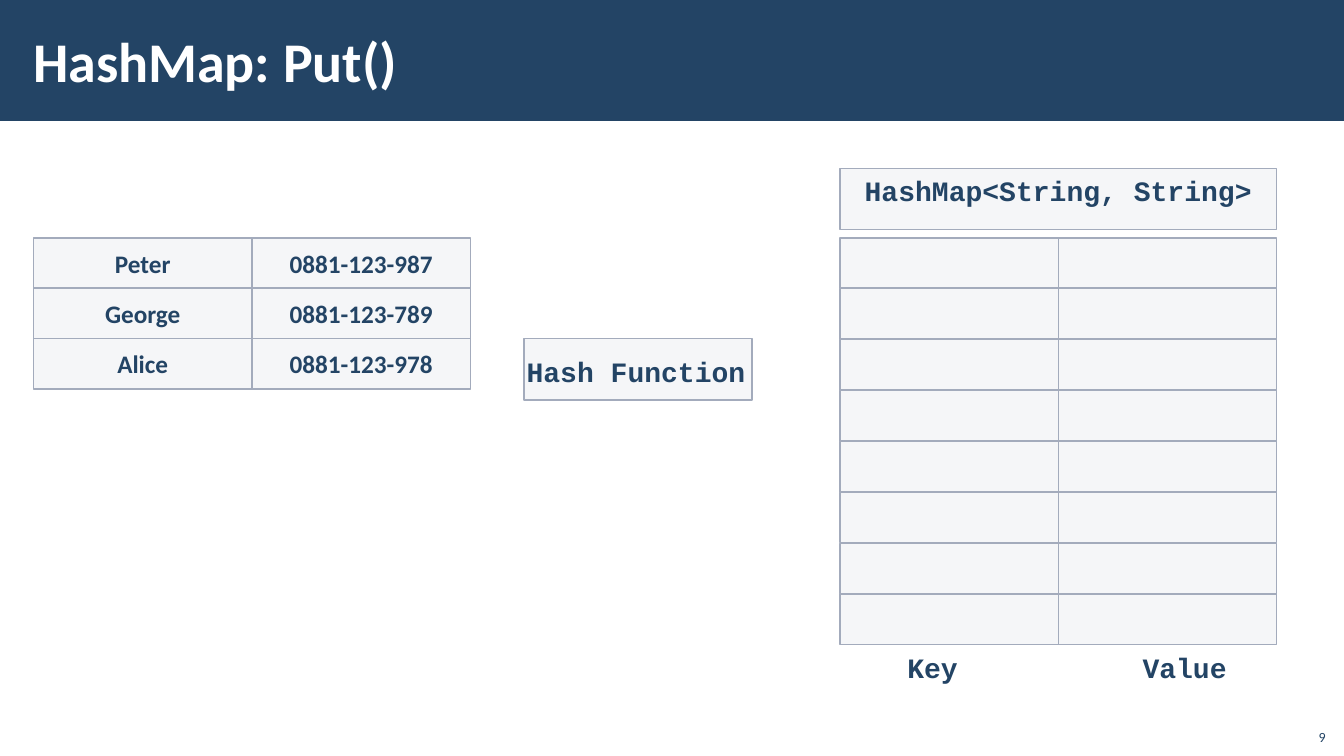
from lxml import etree
from pptx import Presentation
from pptx import util as u
from pptx.dml.color import RGBColor
from pptx.enum import shapes, text
from pptx.oxml.ns import qn

WIDTH, HEIGHT = u.Inches(13.33), u.Inches(7.5)
COL, ROW = WIDTH / 40, HEIGHT / 15
COLORS = {"navy": "234465", "cell": "C2C7D2", "edge": "A3ABBC", "white": "FFFFFF"}
BODY, CODE = "Calibri", "Courier New"

CONTACTS = [
    ("Peter", "0881-123-987"),
    ("George", "0881-123-789"),
    ("Alice", "0881-123-978"),
]
CONTACTS_LEFT, MAP_LEFT, GRID_TOP = 1, 25, 4.72
CELL_WIDTH, MAP_WIDTH = 6.5, 13
MAP_ROWS, MAP_PITCH = 8, 1.01


def color(name):
    return RGBColor.from_string(COLORS[name])


def box_at(left, top, width, height):
    """Turn grid columns and rows into slide lengths."""
    return [u.Emu(round(n)) for n in (left * COL, top * ROW, width * COL, height * ROW)]


def write(shape, words, size, font=BODY, ink="navy", bold=True,
          align=text.PP_ALIGN.CENTER, anchor=text.MSO_ANCHOR.TOP,
          margins=(0.1, 0.05), tabs=()):
    frame = shape.text_frame
    frame.word_wrap = True
    frame.vertical_anchor = anchor
    frame.margin_left = frame.margin_right = u.Inches(margins[0])
    frame.margin_top = frame.margin_bottom = u.Inches(margins[1])
    line = frame.paragraphs[0]
    line.alignment = align
    if tabs:
        stops = etree.SubElement(line._p.get_or_add_pPr(), qn("a:tabLst"))
        for stop in tabs:
            etree.SubElement(stops, qn("a:tab"), pos=str(u.Inches(stop)), algn="ctr")
    run = line.add_run()
    run.text = words
    run.font.name = font
    run.font.size = u.Pt(size)
    run.font.bold = bold
    run.font.color.rgb = color(ink)


def add_label(slide, place, words, size, **style):
    write(slide.shapes.add_textbox(*box_at(*place)), words, size, **style)


def add_block(slide, place, fill):
    block = slide.shapes.add_shape(shapes.MSO_SHAPE.RECTANGLE, *box_at(*place))
    block.shadow.inherit = False
    block.fill.solid()
    block.fill.fore_color.rgb = color(fill)
    block.line.fill.background()
    return block


def add_cell(slide, place):
    """Add an outlined rectangle with a 15% opaque fill."""
    cell = add_block(slide, place, "cell")
    tint = cell._element.spPr.find(qn("a:solidFill"))[0]
    etree.SubElement(tint, qn("a:alpha"), val="15000")
    cell.line.color.rgb = color("edge")
    cell.line.width = u.Pt(1)
    return cell


def add_cells(slide, left, rows, pitch):
    for i, row in enumerate(rows):
        for j, words in enumerate(row):
            place = (left + j * CELL_WIDTH, GRID_TOP + i * pitch, CELL_WIDTH, 1)
            cell = add_cell(slide, place)
            if words:
                write(cell, words, 18, anchor=text.MSO_ANCHOR.MIDDLE, margins=(0.2, 0.1))


def main():
    deck = Presentation()
    deck.slide_width, deck.slide_height = WIDTH, HEIGHT
    slide = deck.slides.add_slide(deck.slide_layouts[6])

    add_block(slide, (0, 0, 40, 2.4), "navy")
    add_label(slide, (0.63, 0.22, 31.9, 1.94), "HashMap: Put()", 40, ink="white",
              align=text.PP_ALIGN.LEFT, anchor=text.MSO_ANCHOR.MIDDLE,
              margins=(0.12, 0.04))

    add_cells(slide, CONTACTS_LEFT, CONTACTS, 1)

    add_cell(slide, (15.6, 6.72, 6.78, 1.22))
    add_label(slide, (14.76, 6.94, 8.34, 0.88), "Hash Function", 20, font=CODE)

    add_cell(slide, (MAP_LEFT, 3.34, MAP_WIDTH, 1.22))
    add_label(slide, (MAP_LEFT, 3.34, MAP_WIDTH, 0.88), "HashMap<String, String>",
              20, font=CODE)
    add_cells(slide, MAP_LEFT, [("", "")] * MAP_ROWS, MAP_PITCH)
    add_label(slide, (MAP_LEFT, 12.8, MAP_WIDTH, 0.88), "\tKey\tValue", 20, font=CODE,
              align=text.PP_ALIGN.LEFT, tabs=(0.82, 3.32))

    add_label(slide, (38.55, 14.24, 1.2, 0.64), "9", 10, bold=False,
              align=text.PP_ALIGN.RIGHT, anchor=text.MSO_ANCHOR.BOTTOM)
    deck.save("out.pptx")


if __name__ == "__main__":
    main()
